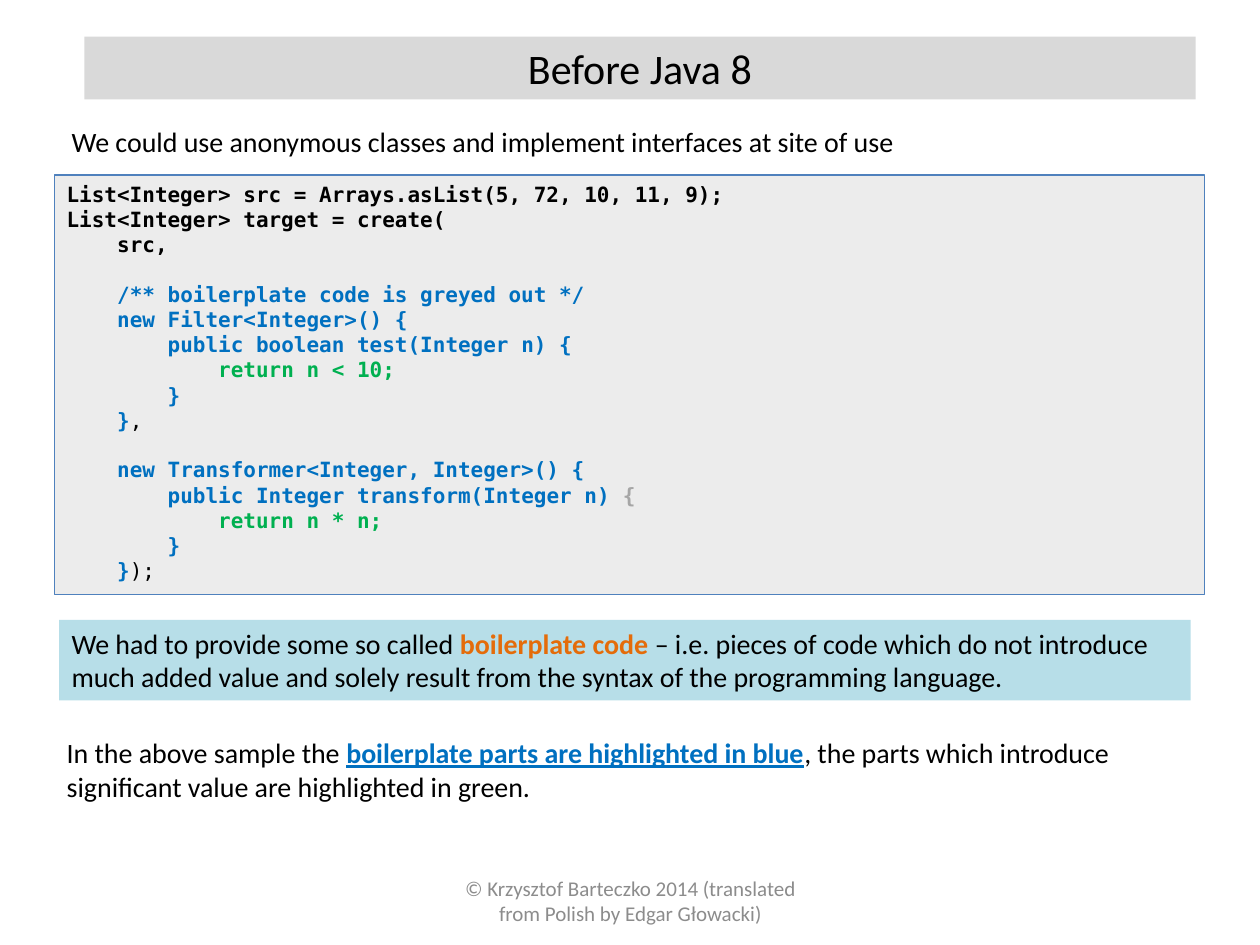
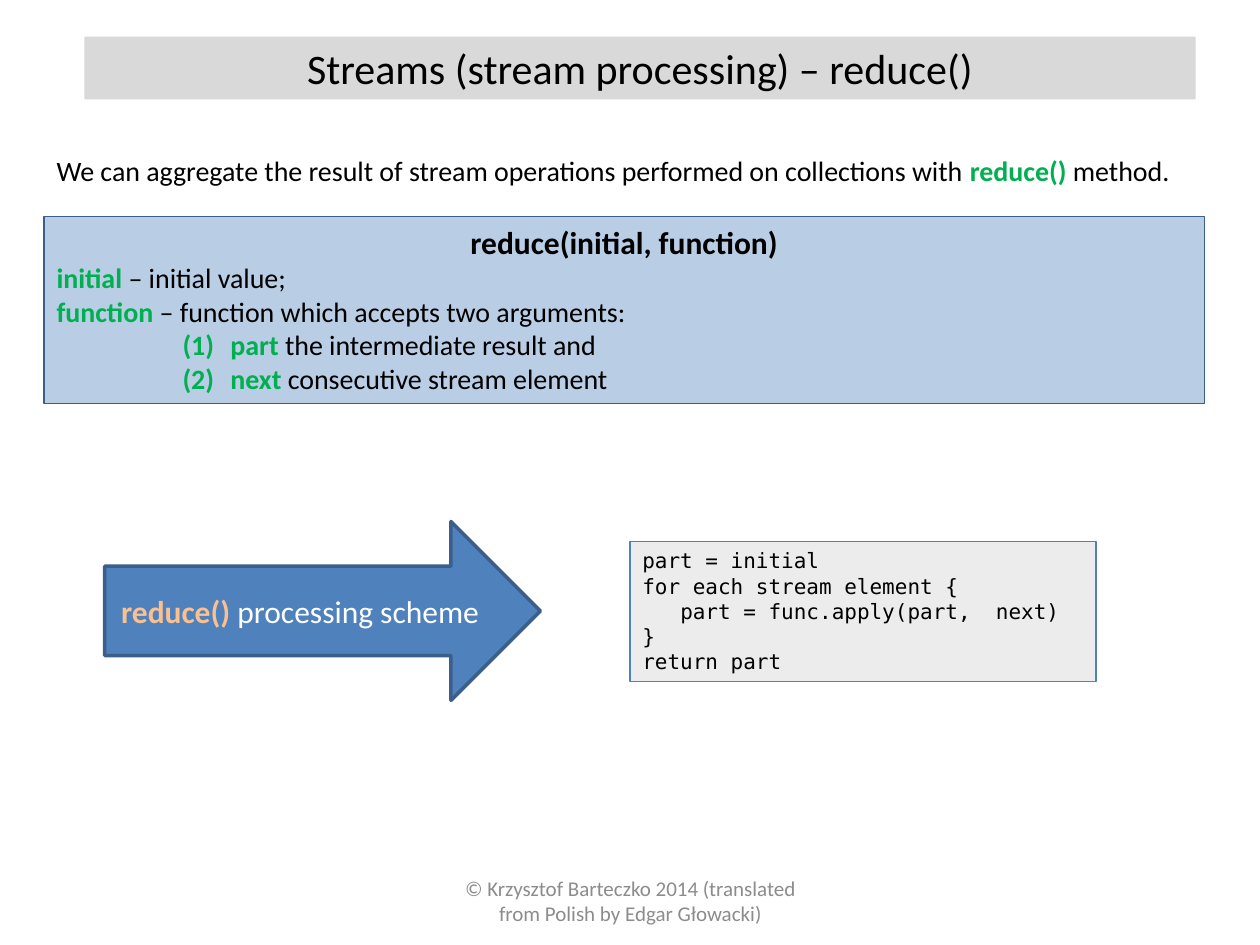
from dataclasses import dataclass
from typing import NamedTuple, Optional

from lxml import etree
from pptx import Presentation
from pptx.dml.color import RGBColor
from pptx.enum import shapes, text
from pptx.oxml import ns
from pptx.util import Pt

BLACK = RGBColor(0x00, 0x00, 0x00)
WHITE = RGBColor(0xFF, 0xFF, 0xFF)
LIGHT_GREY = RGBColor(0xD9, 0xD9, 0xD9)
MID_GREY = RGBColor(0xA6, 0xA6, 0xA6)
FOOTER_GREY = RGBColor(0x8C, 0x8C, 0x8C)
BLUE = RGBColor(0x4F, 0x81, 0xBD)
DARK_BLUE = RGBColor(0x3A, 0x5F, 0x8C)
PALE_BLUE = RGBColor(0xB9, 0xCD, 0xE5)
PALE_AQUA = RGBColor(0xB7, 0xDE, 0xE8)
BOILERPLATE_BLUE = RGBColor(0x00, 0x70, 0xC0)
VALUE_GREEN = RGBColor(0x00, 0xB0, 0x50)
ORANGE = RGBColor(0xE4, 0x6C, 0x0A)
PEACH = RGBColor(0xFA, 0xC0, 0x90)

SANS = "Calibri"
MONO = "DejaVu Sans Mono"
CODE_SIZE = 12
CODE_CHAR = 7.22
CODE_LINE = 14
CODE_OPACITY = 48
FOOTER = "© Krzysztof Barteczko 2014 (translated from Polish by Edgar Głowacki)"

LEFT = text.PP_ALIGN.LEFT
CENTER = text.PP_ALIGN.CENTER
TOP = text.MSO_ANCHOR.TOP
MIDDLE = text.MSO_ANCHOR.MIDDLE
RECTANGLE = shapes.MSO_SHAPE.RECTANGLE
RIGHT_ARROW = shapes.MSO_SHAPE.RIGHT_ARROW


class Span(NamedTuple):
    words: str
    color: Optional[RGBColor] = None
    bold: Optional[bool] = None
    underline: Optional[bool] = None


@dataclass(frozen=True)
class Line:
    spans: tuple[Span, ...]
    indent: float = 0
    hanging: float = 0
    before: float = 0
    size: Optional[float] = None
    align: Optional[text.PP_ALIGN] = None
    numbering: str = ""


@dataclass(frozen=True)
class Box:
    left: float
    top: float
    width: float
    height: float
    fill: Optional[RGBColor] = None
    outline: Optional[RGBColor] = None
    outline_width: float = 0.75
    opacity: int = 100
    outline_shape: shapes.MSO_SHAPE = RECTANGLE


TITLE_BAND = Box(48.2, 20.9, 635, 36, LIGHT_GREY)
FOOTER_AREA = Box(246.2, 500.4, 228.2, 28.8)


def plain(words: str) -> Line:
    return Line((Span(words),))


def strong(words: str, color: RGBColor) -> Span:
    return Span(words, color, True)


def code(depth: int, *spans: Span, gap: bool = False) -> Line:
    return Line(spans, indent=depth * 4 * CODE_CHAR, before=CODE_LINE if gap else 0)


def blue(words: str) -> Span:
    return Span(words, BOILERPLATE_BLUE)


def green(words: str) -> Span:
    return Span(words, VALUE_GREEN)


def argument(name: str, meaning: str) -> Line:
    return Line((strong(name, VALUE_GREEN), Span(meaning)),
                indent=99.36, hanging=27.36, numbering="arabicParenBoth")


def write(shape, lines: list[Line], *, font: str = SANS, size: float = 16,
          color: RGBColor = BLACK, bold: bool = False,
          align: text.PP_ALIGN = LEFT, anchor: text.MSO_ANCHOR = TOP,
          grow: bool = True) -> None:
    frame = shape.text_frame
    frame.word_wrap = True
    frame.vertical_anchor = anchor
    frame.auto_size = (text.MSO_AUTO_SIZE.SHAPE_TO_FIT_TEXT if grow
                       else text.MSO_AUTO_SIZE.NONE)
    for number, line in enumerate(lines):
        paragraph = frame.add_paragraph() if number else frame.paragraphs[0]
        paragraph.alignment = line.align or align
        paragraph.space_before = Pt(line.before)
        properties = paragraph._p.get_or_add_pPr()
        properties.set("marL", str(Pt(line.indent)))
        properties.set("indent", str(-Pt(line.hanging)))
        if line.numbering:
            bullet = etree.SubElement(properties, ns.qn("a:buAutoNum"))
            bullet.set("type", line.numbering)
        for span in line.spans:
            run = paragraph.add_run()
            run.text = span.words
            run.font.name = font
            run.font.size = Pt(line.size or size)
            run.font.color.rgb = color if span.color is None else span.color
            run.font.bold = bold if span.bold is None else span.bold
            run.font.underline = span.underline


def draw(slide, box: Box, lines: list[Line], **style) -> None:
    place = [Pt(length) for length in (box.left, box.top, box.width, box.height)]
    if box.fill is None:
        shape = slide.shapes.add_textbox(*place)
    else:
        shape = slide.shapes.add_shape(box.outline_shape, *place)
        shape.shadow.inherit = False
        shape.fill.solid()
        shape.fill.fore_color.rgb = box.fill
        if box.opacity < 100:
            tint = shape._element.spPr.find(".//" + ns.qn("a:srgbClr"))
            etree.SubElement(tint, ns.qn("a:alpha")).set("val", str(box.opacity * 1000))
        if box.outline is None:
            shape.line.fill.background()
        else:
            shape.line.color.rgb = box.outline
            shape.line.width = Pt(box.outline_width)
    write(shape, lines, **style)


def draw_code(slide, left: float, top: float, width: float, height: float,
              lines: list[Line], **style) -> None:
    panel = Box(left, top, width, height, LIGHT_GREY, BLUE, opacity=CODE_OPACITY)
    draw(slide, panel, lines, font=MONO, size=CODE_SIZE, **style)


def start_slide(deck, title: str):
    slide = deck.slides.add_slide(deck.slide_layouts[6])
    draw(slide, FOOTER_AREA, [plain(FOOTER)], size=12, color=FOOTER_GREY,
         align=CENTER, anchor=MIDDLE, grow=False)
    draw(slide, TITLE_BAND, [plain(title)], size=24, align=CENTER)
    return slide


def build_before_java_8(deck) -> None:
    slide = start_slide(deck, "Before Java 8")
    draw_code(slide, 31, 100, 657.4, 239.8, [
        code(0, Span("List<Integer> src = Arrays.asList(5, 72, 10, 11, 9);")),
        code(0, Span("List<Integer> target = create(")),
        code(1, Span("src,")),
        code(1, blue("/** boilerplate code is greyed out */"), gap=True),
        code(1, blue("new Filter<Integer>() {")),
        code(2, blue("public boolean test(Integer n) {")),
        code(3, green("return n < 10;")),
        code(2, blue("}")),
        code(1, blue("}"), Span(",", bold=False)),
        code(1, blue("new Transformer<Integer, Integer>() {"), gap=True),
        code(2, blue("public Integer transform(Integer n) "), Span("{", MID_GREY)),
        code(3, green("return n * n;")),
        code(2, blue("}")),
        code(1, blue("}"), Span(");", bold=False)),
    ], bold=True)
    draw(slide, Box(33.8, 354.2, 646.6, 46, PALE_AQUA), [Line((
        Span("We had to provide some so called "),
        strong("boilerplate code ", ORANGE),
        Span("– i.e. pieces of code which do not introduce much added value "
             "and solely result from the syntax of the programming language."),
    ))])
    draw(slide, Box(33.8, 67.7, 646.6, 26.6), [plain(
        "We could use anonymous classes and implement interfaces at site of use")])
    draw(slide, Box(31, 416.9, 646.6, 46), [Line((
        Span("In the above sample the "),
        Span("boilerplate parts are highlighted in blue", BOILERPLATE_BLUE, True, True),
        Span(", the parts which introduce significant value are highlighted in green."),
    ))])


def build_reduce(deck) -> None:
    slide = start_slide(deck, "Streams (stream processing) – reduce()")
    draw(slide, Box(25.2, 84.2, 668.9, 26.6), [Line((
        Span("We can aggregate the result of stream operations performed "
             "on collections with "),
        strong("reduce()", VALUE_GREEN),
        Span(" method."),
    ))])
    draw_code(slide, 360, 309.6, 266.4, 80, [
        plain("part = initial"),
        plain("for each stream element {"),
        Line((Span("part = func.apply(part,  next)"),), indent=3 * CODE_CHAR),
        plain("}"),
        plain("return part"),
    ])
    draw(slide, Box(59.8, 298, 249, 102.2, BLUE, DARK_BLUE, 2, outline_shape=RIGHT_ARROW),
         [Line((strong("reduce() ", PEACH), Span("processing scheme")))],
         size=18, color=WHITE, align=CENTER, anchor=MIDDLE, grow=False)
    draw(slide, Box(25.2, 123.8, 663, 106.6, PALE_BLUE, DARK_BLUE), [
        Line((Span("reduce(initial, function)", bold=True),), size=18, align=CENTER),
        Line((strong("initial ", VALUE_GREEN), Span("– initial value;"))),
        Line((strong("function", VALUE_GREEN),
              Span(" – function which accepts two arguments:"))),
        argument("part", " the intermediate result and"),
        argument("next", " consecutive stream element"),
    ])


def main() -> None:
    deck = Presentation()
    deck.slide_width = Pt(720)
    deck.slide_height = Pt(540)
    build_before_java_8(deck)
    build_reduce(deck)
    deck.save("out.pptx")


if __name__ == "__main__":
    main()
